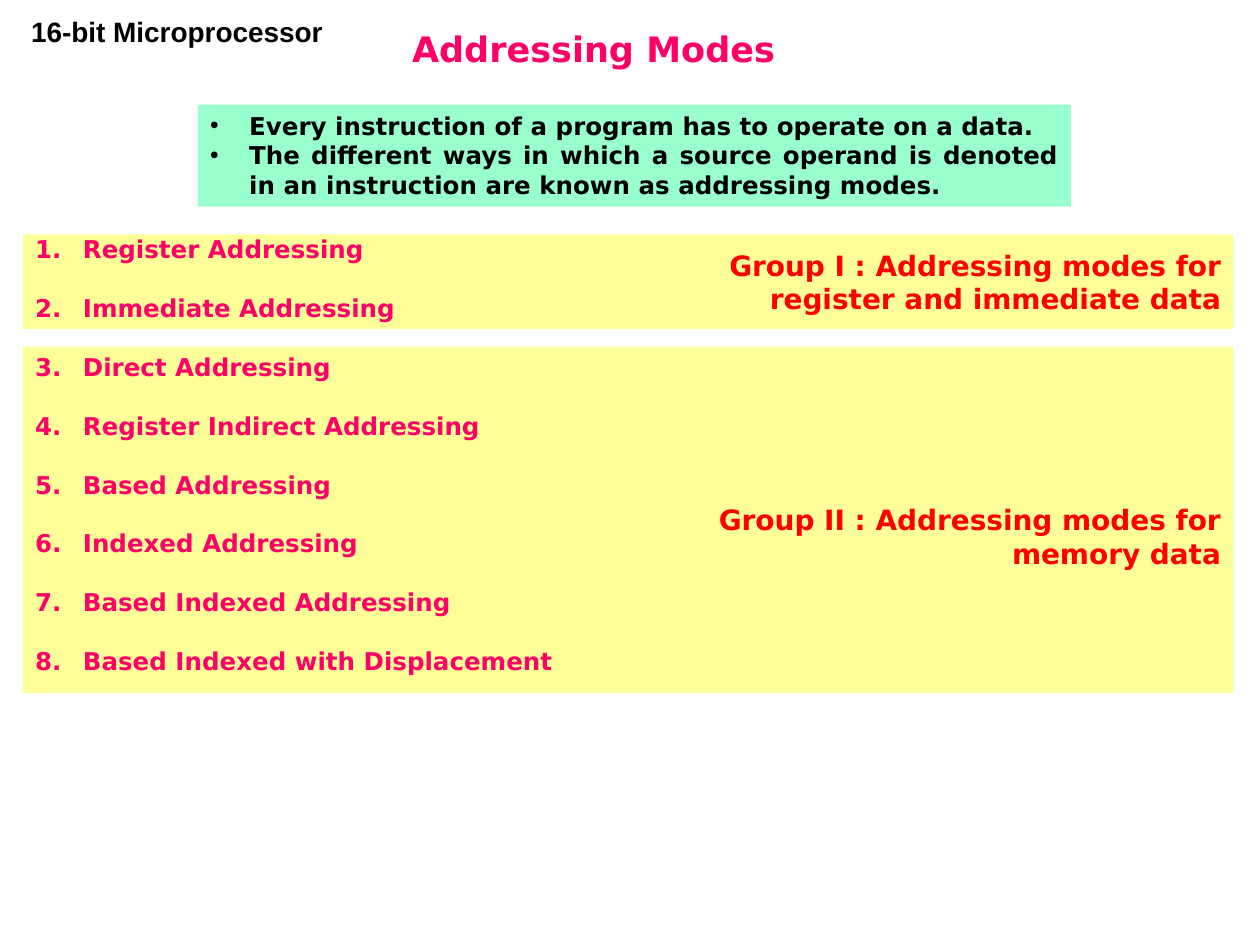
from lxml import etree
from pptx import Presentation
from pptx.dml.color import RGBColor
from pptx.enum.shapes import MSO_SHAPE
from pptx.enum.text import MSO_ANCHOR, PP_ALIGN
from pptx.oxml.ns import qn
from pptx.util import Inches, Pt

RECTANGLE = MSO_SHAPE.RECTANGLE
TOP, MIDDLE = MSO_ANCHOR.TOP, MSO_ANCHOR.MIDDLE
LEFT, CENTER = PP_ALIGN.LEFT, PP_ALIGN.CENTER
RIGHT, JUSTIFY = PP_ALIGN.RIGHT, PP_ALIGN.JUSTIFY

# Content
TITLE = "Addressing Modes"
SUBJECT = "16-bit Microprocessor"
DEFINITIONS = [
    "Every instruction of a program has to operate on a data.",
    "The different ways in which a source operand is denoted in an "
    "instruction are known as addressing modes.",
]
MODES = [
    "Register Addressing", "Immediate Addressing", "Direct Addressing",
    "Register Indirect Addressing", "Based Addressing", "Indexed Addressing",
    "Based Indexed Addressing", "Based Indexed with Displacement",
]
# Band top, band height, label, label top, label width
GROUPS = [
    (1.86, 0.75, "Group I : Addressing modes for register and immediate data", 1.92, 4.38),
    (2.75, 2.75, "Group II : Addressing modes for memory data", 3.94, 4.76),
]

# Style
BODY_FONT, HEADER_FONT = "DejaVu Sans", "Arial"
PINK, RED, BLACK = "FF0066", "FF0000", "000000"
YELLOW, MINT = "FFFF99", "99FFCC"
BAND_LEFT, BAND_WIDTH = 0.18, 9.61


def color(value):
    return RGBColor.from_string(value)


def add_rectangle(page, left, top, width, height, fill):
    box = page.shapes.add_shape(
        RECTANGLE, Inches(left), Inches(top), Inches(width), Inches(height))
    box.shadow.inherit = False
    box.fill.solid()
    box.fill.fore_color.rgb = color(fill)
    box.line.fill.background()
    return box


def add_text_box(page, left, top, width, height):
    return page.shapes.add_textbox(
        Inches(left), Inches(top), Inches(width), Inches(height))


def write(box, lines, size, ink, align=LEFT, anchor=TOP, font=BODY_FONT, gap=0):
    frame = box.text_frame
    frame.word_wrap = True
    frame.vertical_anchor = anchor
    frame.text = "\n".join(lines)
    for para in frame.paragraphs:
        para.alignment = align
        para.space_before = Pt(0)
        para.space_after = Pt(gap)
        para.font.name = font
        para.font.size = Pt(size)
        para.font.bold = True
        para.font.color.rgb = color(ink)


def add_markers(box, indent, tag, **attributes):
    """Give every paragraph a hanging bullet or number."""
    for para in box.text_frame.paragraphs:
        properties = para._p.get_or_add_pPr()
        properties.set("marL", str(Inches(indent)))
        properties.set("indent", str(-Inches(indent)))
        if tag == "a:buChar":
            etree.SubElement(properties, qn("a:buFont")).set("typeface", HEADER_FONT)
        marker = etree.SubElement(properties, qn(tag), attributes)
        # Markers come before the default run properties
        defaults = properties.find(qn("a:defRPr"))
        if defaults is not None:
            properties.remove(defaults)
            marker.addnext(defaults)


deck = Presentation()
deck.slide_width, deck.slide_height = Inches(10), Inches(7.5)
page = deck.slides.add_slide(deck.slide_layouts[5])

# Group bands with their labels
for top, height, label, label_top, label_width in GROUPS:
    add_rectangle(page, BAND_LEFT, top, BAND_WIDTH, height, YELLOW)
    label_left = BAND_LEFT + BAND_WIDTH - label_width
    label_box = add_text_box(page, label_left, label_top, label_width, 0.64)
    write(label_box, [label], 16, RED, RIGHT)

# Title and subject
title = page.shapes.title
title.left, title.top = Inches(3.17), Inches(0.12)
title.width, title.height = Inches(6.58), Inches(0.53)
write(title, [TITLE], 20, PINK, anchor=MIDDLE)
subject = add_text_box(page, 0.07, 0.07, 2.67, 0.64)
write(subject, [SUBJECT], 16, BLACK, CENTER, font=HEADER_FONT)

# Definition panel
panel = add_rectangle(page, 1.57, 0.83, 6.93, 0.81, MINT)
write(panel, DEFINITIONS, 14, BLACK, JUSTIFY)
add_markers(panel, 0.31, "a:buChar", char="•")

# Numbered modes, one line of space between them
modes = add_text_box(page, BAND_LEFT, 1.81, 4.6, 3.64)
write(modes, MODES, 14, PINK, gap=16.8)
add_markers(modes, 0.38, "a:buAutoNum", type="arabicPeriod")

deck.save("out.pptx")
